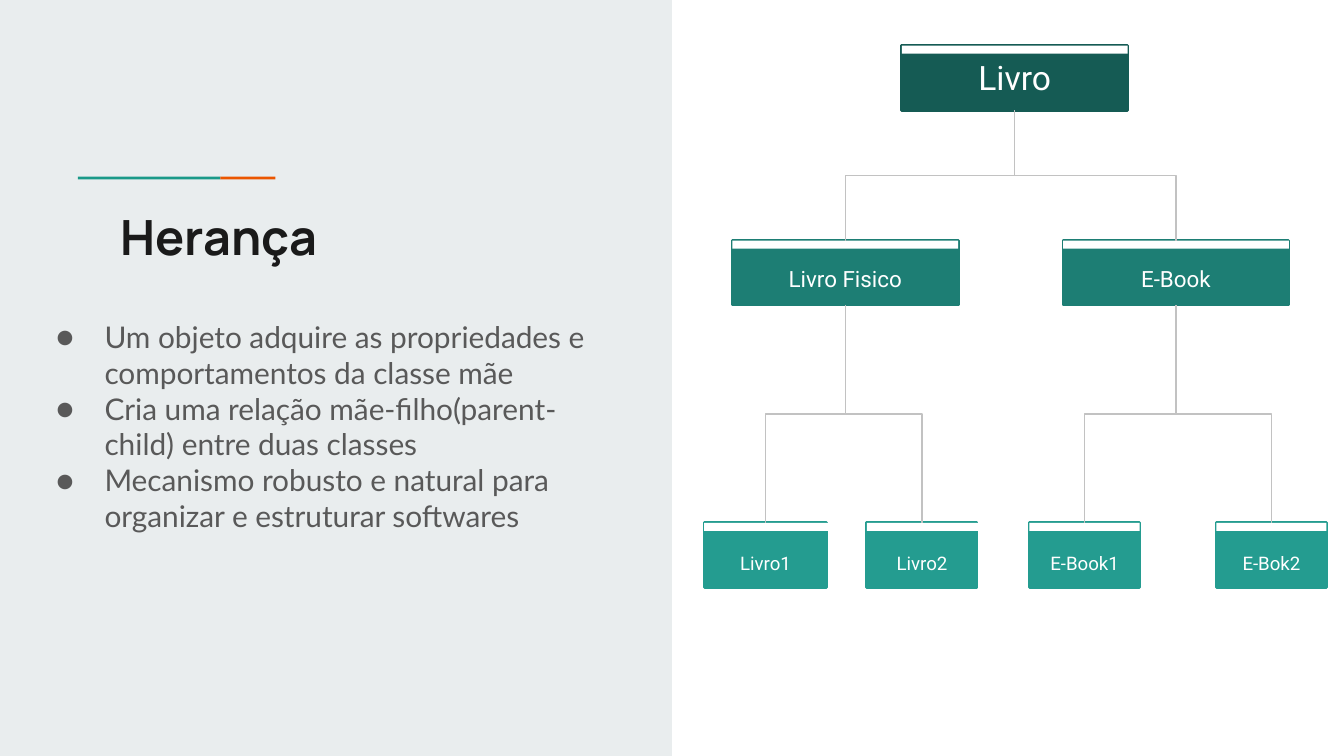
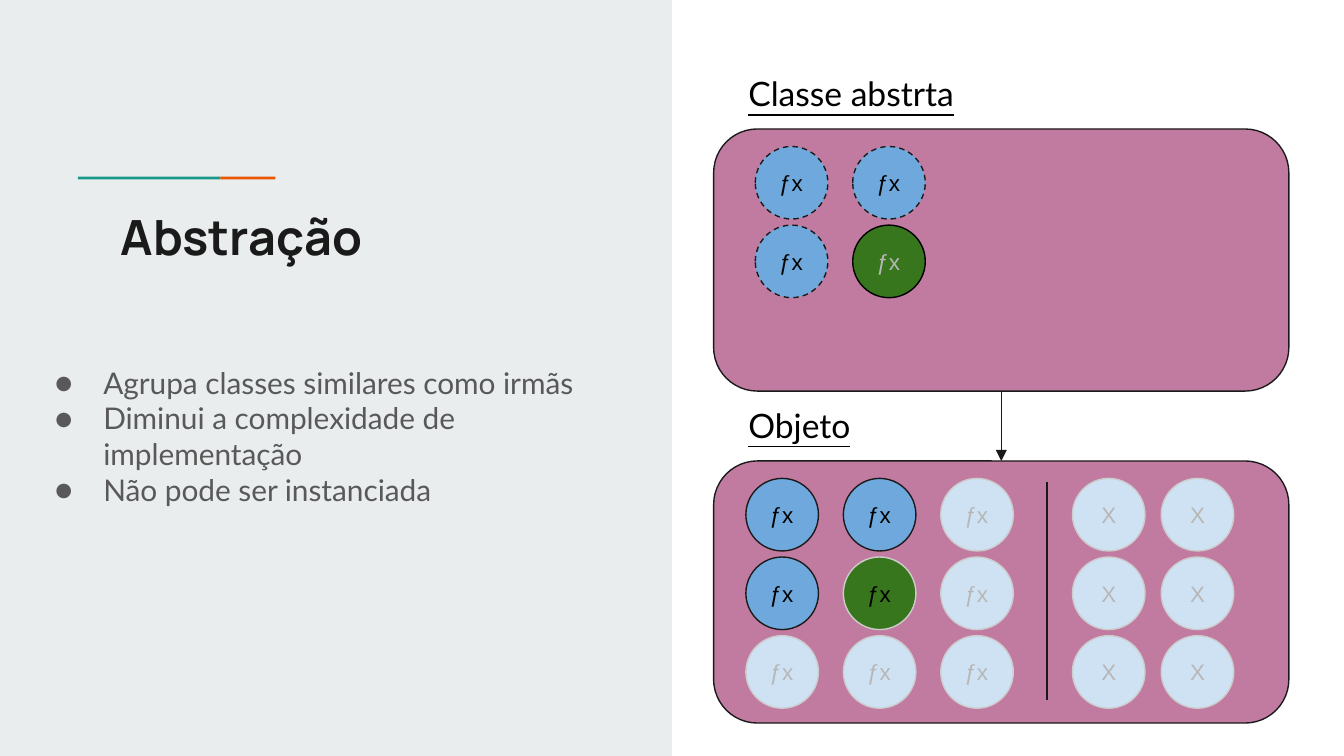
from dataclasses import dataclass
from itertools import product

from lxml.etree import SubElement
from pptx import Presentation
from pptx.dml.color import RGBColor
from pptx.enum.dml import MSO_LINE
from pptx.enum.shapes import MSO_CONNECTOR, MSO_SHAPE
from pptx.enum.text import MSO_ANCHOR, PP_ALIGN
from pptx.oxml.ns import qn
from pptx.util import Inches, Pt

CELL = Inches(0.1)
COLUMNS, ROWS = 100, 56.25
BLANK_LAYOUT = 6


@dataclass(frozen=True)
class Theme:
    """Colours, fonts and type sizes shared by the slides."""

    panel: str = "E9EDEE"
    teal: str = "1A9988"
    orange: str = "EB5600"
    ink: str = "1A1A1A"
    body: str = "595959"
    white: str = "FFFFFF"
    black: str = "000000"
    branch: str = "C2C2C2"
    levels: tuple = ("155B54", "1D7E74", "249C90")
    card: str = "C27BA0"
    blue: str = "6FA8DC"
    green: str = "38761D"
    pale: str = "CFE2F3"
    pale_line: str = "CCCCCC"
    pale_text: str = "B7B7B7"
    title_font: str = "Manrope"
    body_font: str = "Lato"
    node_font: str = "Roboto"
    member_font: str = "Arial"
    title_size: int = 26
    body_size: int = 16
    label_size: int = 18
    member_size: int = 12
    level_sizes: tuple = (18, 12, 10)
    thin: float = 0.75
    thick: float = 1.5


@dataclass(frozen=True)
class Box:
    """A rectangle measured in grid columns and rows."""

    left: float
    top: float
    width: float
    height: float

    def inner(self, left, top, width, height):
        """Return a box placed relative to this one."""
        return Box(self.left + left, self.top + top, width, height)

    def lengths(self):
        """Return left, top, width and height as slide lengths."""
        return [round(n * CELL) for n in (self.left, self.top, self.width, self.height)]


@dataclass(frozen=True)
class Look:
    """Fill, outline and text colours of a class member."""

    fill: str
    line: str
    text: str
    dashed: bool = False


THEME = Theme()
LEFT_HALF = Box(0, 0, COLUMNS / 2, ROWS)
RIGHT_HALF = Box(COLUMNS / 2, 0, COLUMNS / 2, ROWS)
ABSTRACT = Look(THEME.blue, THEME.ink, THEME.black, dashed=True)
SHARED = Look(THEME.green, THEME.black, THEME.pale_text)
CONCRETE = Look(THEME.blue, THEME.ink, THEME.black)
INHERITED = Look(THEME.green, THEME.pale_line, THEME.black)
FADED = Look(THEME.pale, THEME.pale_line, THEME.pale_text)


def rgb(value):
    """Turn a hex string into a colour."""
    return RGBColor.from_string(value)


def write(shape, lines, font, size, color, align=PP_ALIGN.LEFT,
          anchor=MSO_ANCHOR.TOP, bold=False, underline=False):
    """Fill a shape with one paragraph per line and return the paragraphs."""
    frame = shape.text_frame
    frame.text = "\n".join(lines)
    frame.word_wrap = True
    frame.vertical_anchor = anchor
    frame.margin_left = frame.margin_right = CELL
    frame.margin_top = frame.margin_bottom = CELL
    for para in frame.paragraphs:
        para.alignment = align
        for span in para.runs:
            span.font.name = font
            span.font.size = Pt(size)
            span.font.color.rgb = rgb(color)
            span.font.bold = bold
            span.font.underline = underline
    return frame.paragraphs


def add_text(page, box, lines, font, size, color, **options):
    """Add a text box and return its paragraphs."""
    shape = page.shapes.add_textbox(*box.lengths())
    return write(shape, lines, font, size, color, **options)


def add_block(page, box, fill, line=None, width=THEME.thin, kind=MSO_SHAPE.RECTANGLE):
    """Add a filled preset shape, outlined when a line colour is given."""
    shape = page.shapes.add_shape(kind, *box.lengths())
    shape.shadow.inherit = False
    shape.fill.solid()
    shape.fill.fore_color.rgb = rgb(fill)
    if line:
        shape.line.color.rgb = rgb(line)
        shape.line.width = Pt(width)
    else:
        shape.line.fill.background()
    return shape


def add_line(page, color, kind=MSO_CONNECTOR.STRAIGHT, ends=(0, 0, 0, 0)):
    """Add a thin connector without a shadow."""
    line = page.shapes.add_connector(kind, *ends)
    line.line.color.rgb = rgb(color)
    line.line.width = Pt(THEME.thin)
    SubElement(line.element.spPr, qn("a:effectLst"))
    return line


def add_bullet(para):
    """Give a paragraph a round bullet and a hanging indent."""
    props = para._p.get_or_add_pPr()
    props.set("marL", str(Inches(0.5)))
    props.set("indent", str(-Inches(0.36)))
    color = SubElement(props, qn("a:buClr"))
    SubElement(color, qn("a:srgbClr"), val=THEME.body)
    SubElement(props, qn("a:buFont"), typeface=THEME.body_font)
    SubElement(props, qn("a:buChar"), char="●")


def add_topic(page, box, title, points, points_box):
    """Draw the grey half with its two-colour rule, title and bullets."""
    add_block(page, box, THEME.panel)
    add_block(page, box.inner(5.8, 13.15, 10.6, 0.2), THEME.teal)
    add_block(page, box.inner(16.4, 13.15, 4.1, 0.2), THEME.orange)
    add_text(page, box.inner(8, 14.4, 36.1, 8.3), [title], THEME.title_font,
             THEME.title_size, THEME.ink, bold=True)
    for para in add_text(page, box.inner(*points_box), points, THEME.body_font,
                         THEME.body_size, THEME.body):
        add_bullet(para)


def add_node(page, box, label, level, strip_width):
    """Draw a tree node with a white strip along its top."""
    color = THEME.levels[level]
    node = add_block(page, box, color, color, THEME.thick)
    write(node, [label], THEME.node_font, THEME.level_sizes[level], THEME.white,
          align=PP_ALIGN.CENTER, anchor=MSO_ANCHOR.BOTTOM)
    add_block(page, box.inner(0, 0, strip_width, 0.6), THEME.white)
    return node


def add_branch(page, parent, child):
    """Join a parent's bottom to a child's top with a vertical elbow."""
    branch = add_line(page, THEME.branch, MSO_CONNECTOR.ELBOW)
    branch.begin_connect(parent, 2)
    branch.end_connect(child, 0)
    start_x, start_y = parent.left + parent.width // 2, parent.top + parent.height
    end_x, end_y = child.left + child.width // 2, child.top
    drop, spread = end_y - start_y, abs(end_x - start_x)
    branch.left = (start_x + end_x - drop) // 2
    branch.top = (start_y + end_y - spread) // 2
    branch.width, branch.height = drop, spread
    rightward = end_x > start_x
    frame = branch.element.spPr.xfrm
    frame.set("rot", str((270 if rightward else 90) * 60000))
    frame.set("flipH", "1" if rightward else "0")
    frame.set("flipV", "0")


def add_tree(page, box):
    """Draw the class tree."""
    tops = (3.4, 17.9, 38.9)
    entries = (
        ("Livro", None, 0, 17.1, 16.8, 16.8),
        ("Livro Fisico", "Livro", 1, 4.5, 16.8, 16.8),
        ("E-Book", "Livro", 1, 29.1, 16.8, 16.8),
        ("Livro1", "Livro Fisico", 2, 2.4, 9.1, 11.6),
        ("Livro2", "Livro Fisico", 2, 14.5, 8.2, 11.6),
        ("E-Book1", "E-Book", 2, 26.6, 8.2, 8.2),
        ("E-Bok2", "E-Book", 2, 40.5, 8.2, 8.2),
    )
    nodes = {}
    for label, parent, level, left, width, strip_width in entries:
        node_box = box.inner(left, tops[level], width, 4.8)
        nodes[label] = add_node(page, node_box, label, level, strip_width)
        if parent:
            add_branch(page, nodes[parent], nodes[label])


def add_member(page, box, label, look, align=PP_ALIGN.LEFT):
    """Draw one round class member."""
    member = add_block(page, box, look.fill, look.line, kind=MSO_SHAPE.OVAL)
    if look.dashed:
        member.line.dash_style = MSO_LINE.DASH
    write(member, [label], THEME.member_font, THEME.member_size, look.text,
          align=align, anchor=MSO_ANCHOR.MIDDLE)


def add_members(page, box, left, pitch, label, looks, align=PP_ALIGN.LEFT):
    """Lay out rows of members on an even pitch inside a card."""
    for row, column in product(range(len(looks)), range(len(looks[0]))):
        place = box.inner(left + column * pitch, 1.3 + row * 5.85, 5.4, 5.4)
        add_member(page, place, label, looks[row][column], align)


def add_card(page, box, heading):
    """Draw a rounded class card with an underlined heading above it."""
    card = add_block(page, box, THEME.card, THEME.ink, kind=MSO_SHAPE.ROUNDED_RECTANGLE)
    add_text(page, box.inner(1.6, -5.2, 27, 5.4), [heading], THEME.body_font,
             THEME.label_size, THEME.black, underline=True)
    return card


def add_classes(page, box):
    """Draw the abstract class, the object and the arrow between them."""
    upper = box.inner(3.1, 9.6, 42.8, 19.5)
    lower = box.inner(3.1, 34.3, 42.8, 19.5)
    abstract = add_card(page, upper, "Classe abstrta")
    concrete = add_card(page, lower, "Objeto")
    add_members(page, upper, 3.1, 7.25, "ƒx", ((ABSTRACT, ABSTRACT), (ABSTRACT, SHARED)))
    add_members(page, lower, 2.4, 7.25, "ƒx", (
        (CONCRETE, CONCRETE, FADED), (CONCRETE, INHERITED, FADED), (FADED,) * 3))
    add_members(page, lower, 26.7, 6.6, "X", ((FADED,) * 2,) * 3, PP_ALIGN.CENTER)
    left, top, _, height = lower.inner(24.8, 1.6, 0, 16.2).lengths()
    add_line(page, THEME.ink, ends=(left, top, left, top + height))
    arrow = add_line(page, THEME.ink)
    arrow.begin_connect(abstract, 2)
    arrow.end_connect(concrete, 0)
    SubElement(arrow.line._get_or_add_ln(), qn("a:tailEnd"), type="triangle")


def main():
    """Build and save the deck."""
    deck = Presentation()
    deck.slide_width, deck.slide_height = round(COLUMNS * CELL), round(ROWS * CELL)
    topics = (
        ("Herança", (
            "Um objeto adquire as propriedades e comportamentos da classe mãe",
            "Cria uma relação mãe-filho(parent-child) entre duas classes",
            "Mecanismo robusto e natural para organizar e estruturar softwares",
        ), (1.8, 22.7, 45.6, 25.2), add_tree),
        ("Abstração", (
            "Agrupa classes similares como irmãs",
            "Diminui a complexidade de implementação",
            "Não pode ser instanciada",
        ), (1.7, 26.1, 46.1, 10.5), add_classes),
    )
    for title, points, points_box, add_diagram in topics:
        page = deck.slides.add_slide(deck.slide_layouts[BLANK_LAYOUT])
        add_topic(page, LEFT_HALF, title, points, points_box)
        add_diagram(page, RIGHT_HALF)
    deck.save("out.pptx")


if __name__ == "__main__":
    main()
